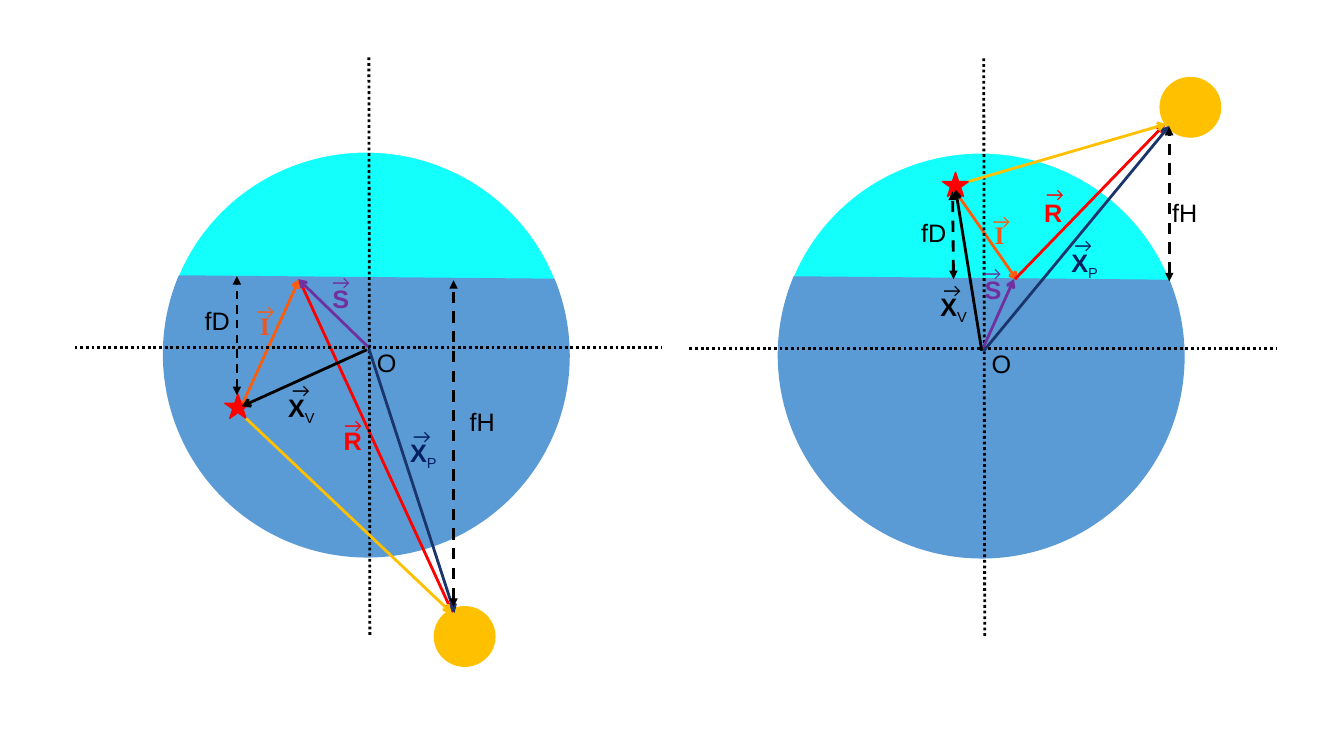
from lxml import etree
from pptx import Presentation
from pptx import util as u
from pptx.dml.color import RGBColor
from pptx.enum import dml, shapes, text
from pptx.oxml.ns import qn

Pt = u.Pt
COLORS = {
    "air": "13FFFC", "water": "5B9BD5", "sun": "FFC000", "red": "FF0000",
    "orange": "FD5C0C", "rust": "F3541A", "purple": "7030A0",
    "blue": "1A356C", "navy": "002060", "black": "000000", "white": "FFFFFF",
}
DASH, DOT = dml.MSO_LINE.DASH, dml.MSO_LINE.ROUND_DOT

# Line styles: colour, arrowhead at start, arrowhead at end, dash
LINES = {
    "I": ("orange", None, "arrow", None),
    "R": ("red", None, "arrow", None),
    "axis x": ("black", None, None, DOT),
    "axis y": ("black", None, None, DOT),
    "S": ("purple", None, "arrow", None),
    "XV": ("black", None, "arrow", None),
    "XP": ("blue", None, "arrow", None),
    "sight": ("sun", None, "arrow", None),
    "fH": ("black", "triangle", "triangle", DASH),
    "fD": ("black", "triangle", "triangle", DASH),
}
# Labels: letter, subscript, font, letter colour, arrow colour, box width
LABELS = {
    "XP": ("X", "P", "Arial", "navy", "navy", 35.3),
    "I": ("I", "", "Times New Roman", "rust", "orange", 20.9),
    "XV": ("X", "V", "Arial", "black", "black", 36),
    "R": ("R", "", "Arial", "red", "red", 28),
    "S": ("S", "", "Arial", "purple", "purple", 27.4),
    "fH": ("fH", "", "Arial", "black", None, 34.6),
    "fD": ("fD", "", "Arial", "black", None, 34.6),
}
# Each panel: origin shift, sun and star corners, line ends, label and arrow corners
PANELS = [
    {"shift": (0, 0), "sun": (310.3, 433.4), "star": (160.6, 281.5), "fD width": 1.5,
     "lines": {
         "I": (173.5, 288, 213.8, 199.4), "R": (214.6, 201.6, 323.3, 437.8),
         "S": (262.8, 247.7, 213.1, 199.4), "XV": (262.1, 249.8, 172.8, 290.2),
         "XP": (263.5, 249.1, 324.7, 437.8), "sight": (175.7, 298.8, 322.6, 437.8),
         "fH": (324, 433.4, 324, 200.2), "fD": (169.2, 282.2, 169.2, 197.3)},
     "labels": {
         "XP": (285.8, 308.9, 288, 299.5), "I": (178.6, 218.2, 176.4, 210.2),
         "XV": (198.7, 276.5, 201.6, 266.4), "R": (238.3, 300.2, 239, 291.6),
         "S": (230.4, 198.7, 230.4, 189.4),
         "fH": (328.3, 286.6, 0, 0), "fD": (139, 214.6, 0, 0)}},
    {"shift": (439.2, 0.7), "sun": (828.7, 55.4), "star": (673.2, 123.1), "fD width": 2,
     "lines": {
         "I": (684, 139, 726.5, 200.2), "R": (725, 199.4, 832.3, 88.6),
         "S": (702, 249.1, 724.3, 199.4), "XV": (701.3, 250.6, 682.6, 135.4),
         "XP": (702.7, 250.6, 835.2, 90), "sight": (691.9, 129.6, 833, 88.6),
         "fH": (835.2, 200.9, 835.2, 90.7), "fD": (681.1, 199.4, 680.4, 136.8)},
     "labels": {
         "XP": (758.2, 172.8, 760.3, 162.7), "I": (703.4, 153.4, 702, 145.4),
         "XV": (664.6, 204.5, 666.7, 195.1), "R": (738.7, 137.5, 740.2, 126.7),
         "S": (696.2, 192.2, 695.5, 182.9),
         "fH": (830.2, 137.5, 0, 0), "fD": (650.9, 151.9, 0, 0)}},
]


def add_text(parent, letters, x, y, w, h=28.8, sub="", font="Arial", size=18,
             color="black", bold=False, wrap=False):
    tf = parent.add_textbox(Pt(x), Pt(y), Pt(w), Pt(h)).text_frame
    tf.word_wrap = wrap
    p = tf.paragraphs[0]
    for part in filter(None, (letters, sub)):
        r = p.add_run()
        r.text = part
        r.font.name, r.font.size = font, Pt(size)
        r.font.bold = bold and part is letters
        r.font.color.rgb = RGBColor.from_string(COLORS[color])
    if sub:
        r.font._element.set("baseline", "-25000")


prs = Presentation()
prs.slide_width, prs.slide_height = Pt(960), Pt(540)
s = prs.slides.add_slide(prs.slide_layouts[6])

for panel in PANELS:
    dx, dy = panel["shift"]
    group = s.shapes.add_group_shape().shapes

    # Sphere, sun, water and star
    for kind, (x, y), w, h, fill, edge, width in (
        (shapes.MSO_SHAPE.OVAL, (116 + dx, 108 + dy), 290.9, 285.8, "air", "white", 2),
        (shapes.MSO_SHAPE.OVAL, panel["sun"], 43.2, 42.5, "sun", "sun", 1),
        (shapes.MSO_SHAPE.CHORD, (117 + dx, 108 + dy), 289.4, 290.9, "water", None, 0),
        (shapes.MSO_SHAPE.STAR_5_POINT, panel["star"], 18.7, 17.3, "red", "red", 1),
    ):
        sp = group.add_shape(kind, Pt(x), Pt(y), Pt(w), Pt(h))
        sp.shadow.inherit = False
        sp.fill.solid()
        sp.fill.fore_color.rgb = RGBColor.from_string(COLORS[fill])
        if edge:
            sp.line.color.rgb = RGBColor.from_string(COLORS[edge])
            sp.line.width = Pt(width)
        else:
            sp.line.fill.background()
        if kind == shapes.MSO_SHAPE.CHORD:
            sp.rotation = 293

    # Axes, vectors and distances
    ends = dict(panel["lines"])
    ends["axis x"] = (53.3 + dx, 248.4 + dy, 472.3 + dx, 248.4 + dy)
    ends["axis y"] = (263.5 + dx, 41 + dy, 264.2 + dx, 453.6 + dy)
    for name, (color, head, tail, dash) in LINES.items():
        line = group.add_connector(shapes.MSO_CONNECTOR.STRAIGHT, *map(Pt, ends[name]))
        line.line.color.rgb = RGBColor.from_string(COLORS[color])
        line.line.width = Pt(panel["fD width"] if name == "fD" else 2)
        if dash:
            line.line.dash_style = dash
        ln = line.line._get_or_add_ln()
        for tag, arrow in (("a:headEnd", head), ("a:tailEnd", tail)):
            if arrow:
                etree.SubElement(ln, qn(tag), type=arrow)
        etree.SubElement(line._element.spPr, qn("a:effectLst"))

    # Labels with their vector arrows
    add_text(group, "O", 262.1 + dx, 244.8 + dy, 28.8)
    for name, (letters, sub, font, color, arrow_color, w) in LABELS.items():
        x, y, arrow_x, arrow_y = panel["labels"][name]
        add_text(group, letters, x, y, w, sub=sub, font=font, color=color,
                 bold=arrow_color is not None)
        if arrow_color:
            add_text(group, "→", arrow_x, arrow_y, 33.1, h=23.8, font="Calibri",
                     size=14, color=arrow_color, wrap=True)

prs.save("out.pptx")
